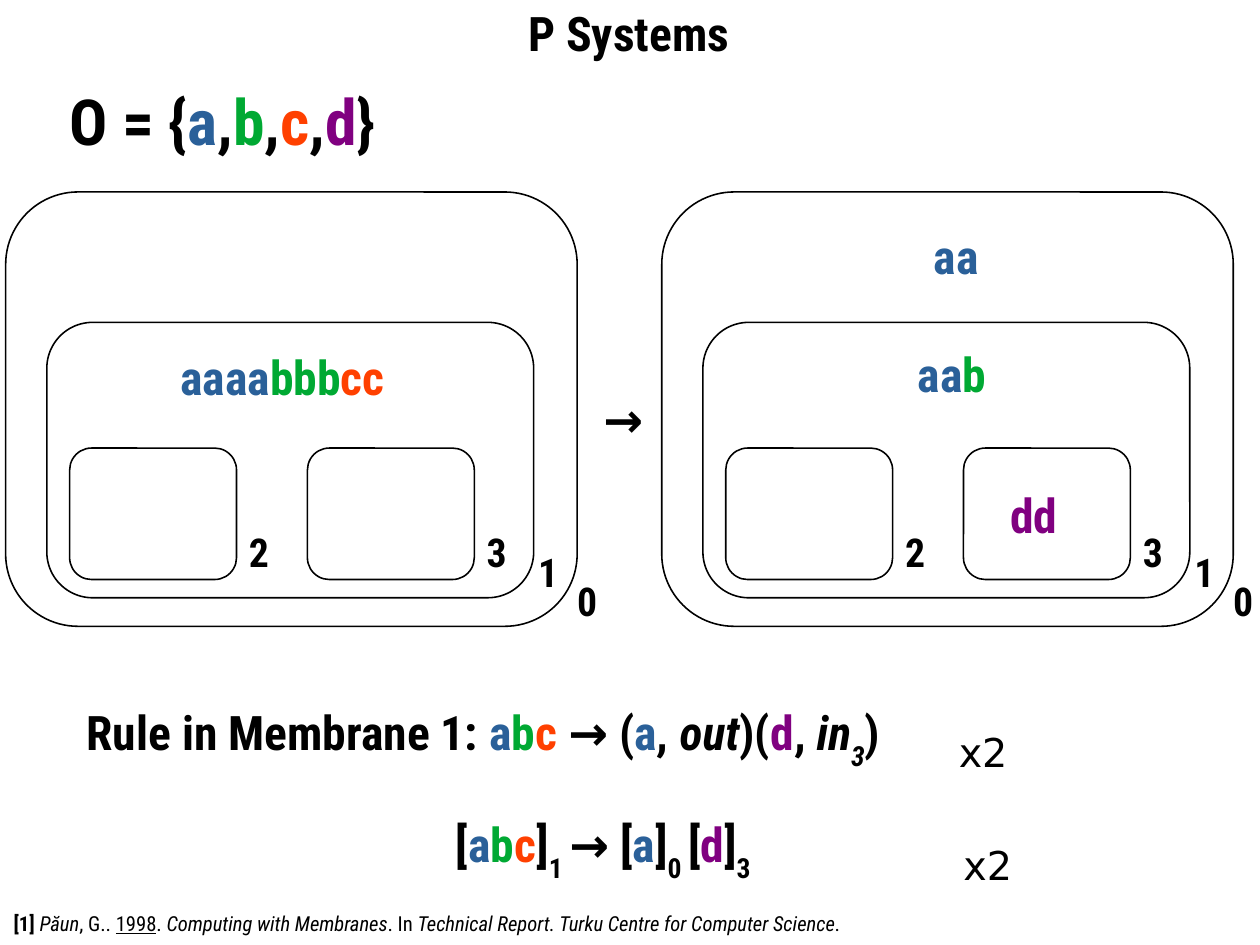
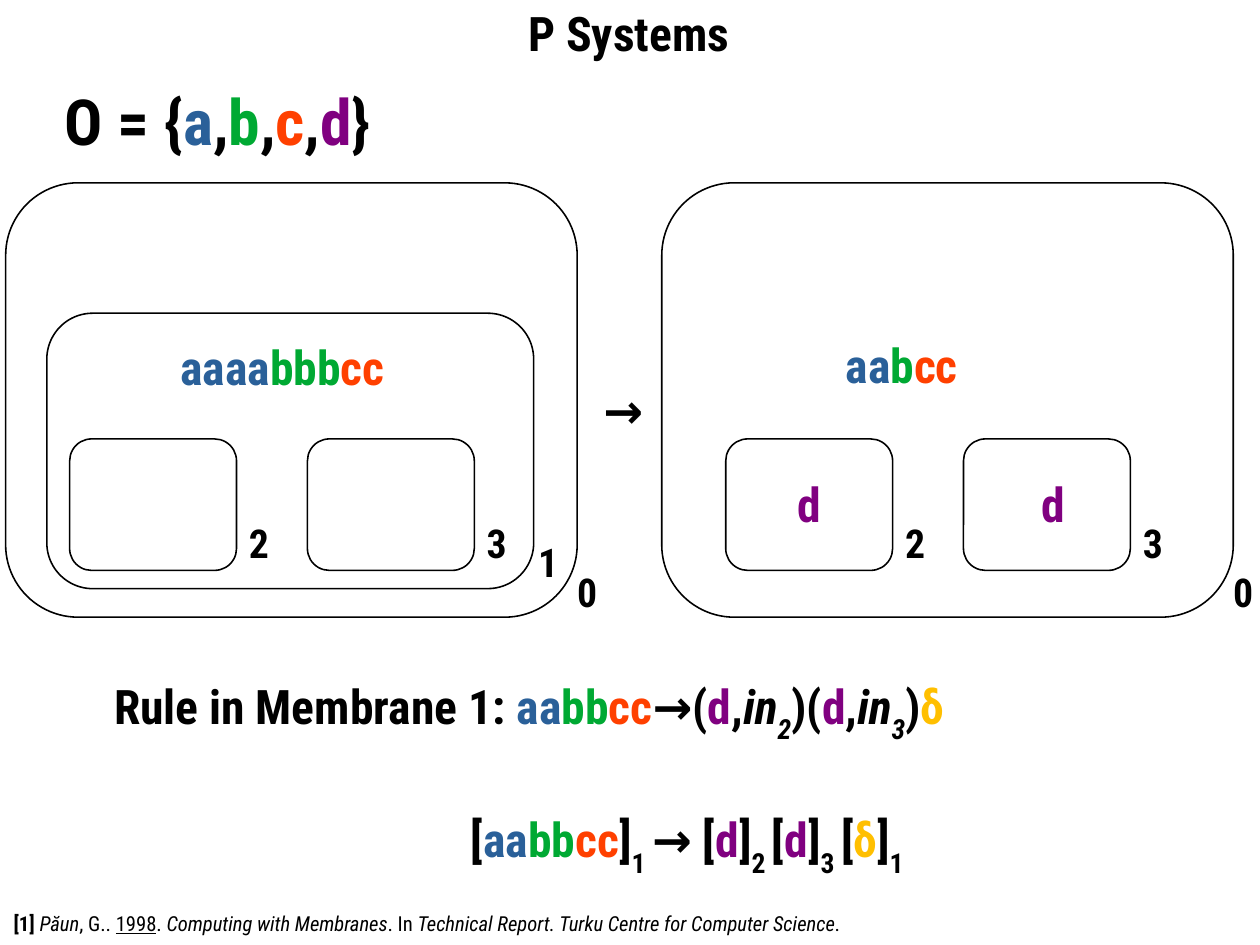
from itertools import groupby

from pptx import Presentation
from pptx.dml.color import RGBColor
from pptx.enum.shapes import MSO_SHAPE
from pptx.enum.text import MSO_ANCHOR, PP_ALIGN
from pptx.util import Cm, Inches, Pt

# Grid: columns and rows of a tenth of an inch
UNIT = Inches(0.1)
COLS = 110
FONT = "Roboto Condensed"
BLACK = "000000"
OBJECT_COLORS = {"a": "2A6099", "b": "00A933", "c": "FF4000", "d": "800080", "ẟ": "FFBF00"}


def rgb(color):
    return RGBColor.from_string(color)


def add_text(s, box, runs, size=30, font=FONT, bold=True):
    """Run flags: o colour each object, i italic, s subscript, u underline, n not bold.

    An object's letter as the flag gives the whole run that object's colour.
    """
    sp = s.shapes.add_textbox(*(round(v * UNIT) for v in box))
    tf = sp.text_frame
    tf.word_wrap = True
    p = tf.paragraphs[0]
    p.font.name, p.font.size, p.font.bold = font, Pt(size), bold
    p.font.color.rgb = rgb(BLACK)
    for words, flags in runs:
        base = OBJECT_COLORS.get(flags, BLACK)
        colors = OBJECT_COLORS if "o" in flags else {}
        for color, chars in groupby(words, lambda ch: colors.get(ch, base)):
            r = p.add_run()
            r.text = "".join(chars)
            if color != BLACK:
                r.font.color.rgb = rgb(color)
            if "i" in flags:
                r.font.italic = True
            if "u" in flags:
                r.font.underline = True
            if "n" in flags:
                r.font.bold = False
            if "s" in flags:
                r.font._element.set("baseline", "-33000")
    return sp


# Shared wording
CITATION = [("[1] ", ""), ("Păun", "ni"), (", G.. ", "n"), ("1998", "nu"), (". ", "n"),
            ("Computing with Membranes", "ni"), (". In ", "n"),
            ("Technical Report. Turku Centre for Computer Science", "ni"), (".", "n")]
RULE_NAME = ("Rule in Membrane 1:", "")

# Membranes, measured from the corner of a system: box, then place of the label
INNER_X, INNER_Y, INNER_PITCH = 5.6, 22.4, 20.8
MEMBRANES = {"0": ((0, 0, 50, 38), (49, 33.2)),
             "1": ((3.6, 11.4, 42.6, 24.1), (45.6, 30.6))}
for i, label in enumerate("23"):
    x = INNER_X + i * INNER_PITCH
    MEMBRANES[label] = ((x, INNER_Y, 14.6, 11.5), (x + 14.7, INNER_Y + 6.5))

SYSTEM_X = (0.5, 57.9)
START = ("0123", [("aaaabbbcc", 14.3, 13.1)])

# Each system: its membranes, then its objects with their places
SLIDES = [
    {"top": 16.8, "alphabet_x": 5.1,
     "systems": [START, ("0123", [("aab", 21.4, 12.9), ("aa", 22.8, 2.6), ("dd", 29.5, 25.2)])],
     "formulas": [
         (6.6, 61, [RULE_NAME, (" ab", "o"), ("c ", "c"), ("→ (", ""), ("a", "o"),
                    (", ", ""), ("out", "i"), (")(", ""), ("d", "o"), (", ", ""),
                    ("in", "i"), ("3", "is"), (")", "")]),
         (38.9, 70.8, [("[abc]", "o"), ("1 ", "s"), ("→ [a]", "o"), ("0 ", "s"),
                       ("[d]", "o"), ("3", "s")])],
     "repeats": [(82.9, 63.2), (83.3, 73.1)]},
    {"top": 16, "alphabet_x": 4.7,
     "systems": [START, ("023", [("aabcc", 15.1, 12.9), ("d", 10.9, 25.1), ("d", 32.2, 25.1)])],
     "formulas": [
         (9, 58.7, [RULE_NAME, (" aabbcc→(d,", "o"), ("in", "i"), ("2", "is"),
                    (")(d,", "o"), ("in", "i"), ("3", "is"), (")ẟ", "o")]),
         (40.2, 70.4, [("[aabbcc]", "o"), ("1 ", "s"), ("→ [d]", "o"), ("2 ", "s"),
                       ("[d]", "o"), ("3 ", "s"), ("[ẟ]", "o"), ("1", "s")])],
     "repeats": []},
]

prs = Presentation()
prs.slide_width = Cm(28)
prs.slide_height = Cm(21)

for content in SLIDES:
    s = prs.slides.add_slide(prs.slide_layouts[6])
    top = content["top"]

    # Title, citation and alphabet
    tf = add_text(s, (0, 0.1, COLS, 5.5), [("P Systems", "")]).text_frame
    tf.margin_left = tf.margin_right = tf.margin_top = tf.margin_bottom = 0
    tf.vertical_anchor = MSO_ANCHOR.MIDDLE
    tf.paragraphs[0].alignment = PP_ALIGN.CENTER
    add_text(s, (0.2, 79.2, 75.4, 3.4), CITATION, 13)
    add_text(s, (content["alphabet_x"], 6.7, 28.9, 8), [("O = {a,b,c,d}", "o")], 40)

    # Membrane systems before and after the rule
    for left, (labels, objects) in zip(SYSTEM_X, content["systems"]):
        for label in labels:
            (x, y, w, h), (label_x, label_y) = MEMBRANES[label]
            sp = s.shapes.add_shape(MSO_SHAPE.ROUNDED_RECTANGLE,
                                    *(round(v * UNIT) for v in (left + x, top + y, w, h)))
            sp.shadow.inherit = False
            sp.fill.background()
            sp.line.color.rgb = rgb(BLACK)
            sp.line.width = Pt(1)
            add_text(s, (left + label_x, top + label_y, 3.9, 5.6), [(label, "")], 25)
        for word, x, y in objects:
            add_text(s, (left + x, top + y, 21, 6.5), [(word, "o")])
    add_text(s, (51.8, top + 16.8, 6.8, 6.5), [("→", "")])

    # Rule, its bracket form and how often each applies
    for x, y, runs in content["formulas"]:
        add_text(s, (x, y, COLS - x, 8), runs)
    for x, y in content["repeats"]:
        add_text(s, (x, y, 8, 5), [("x2", "")], 25, "DejaVu Sans", False)

prs.save("out.pptx")
